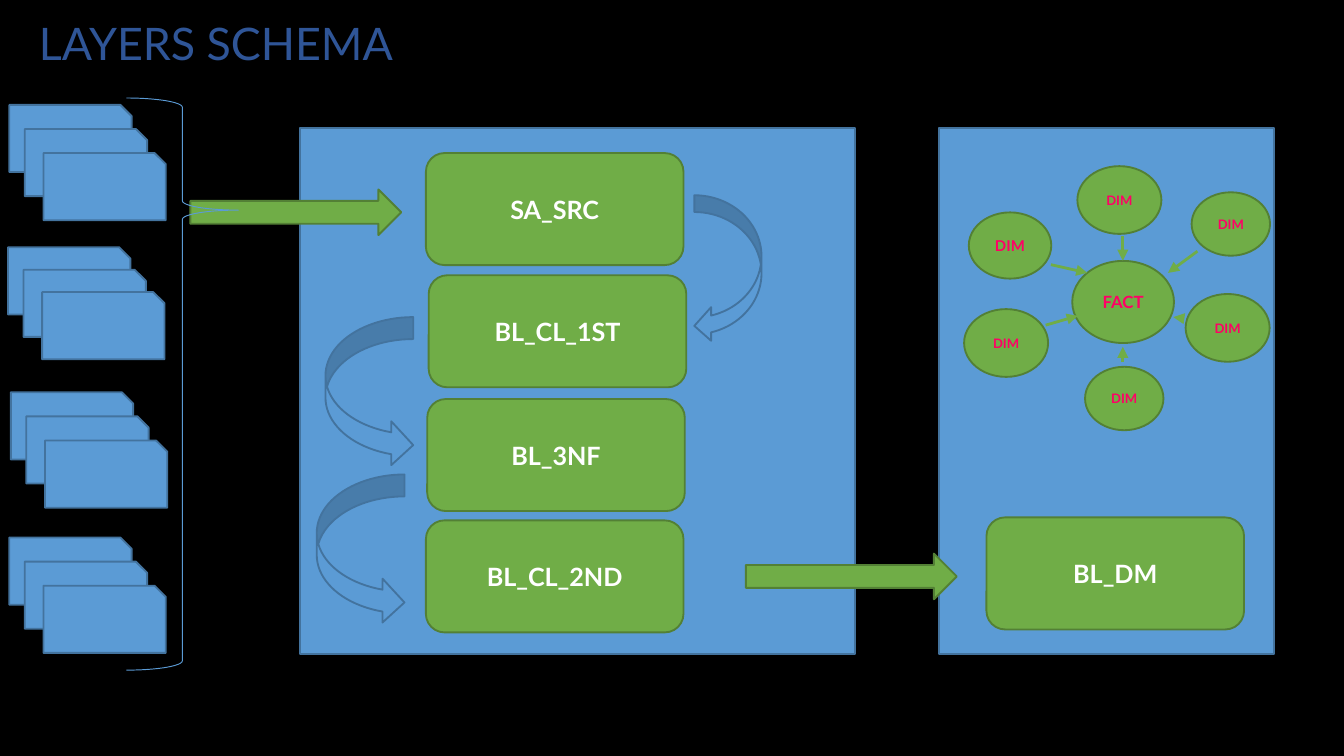
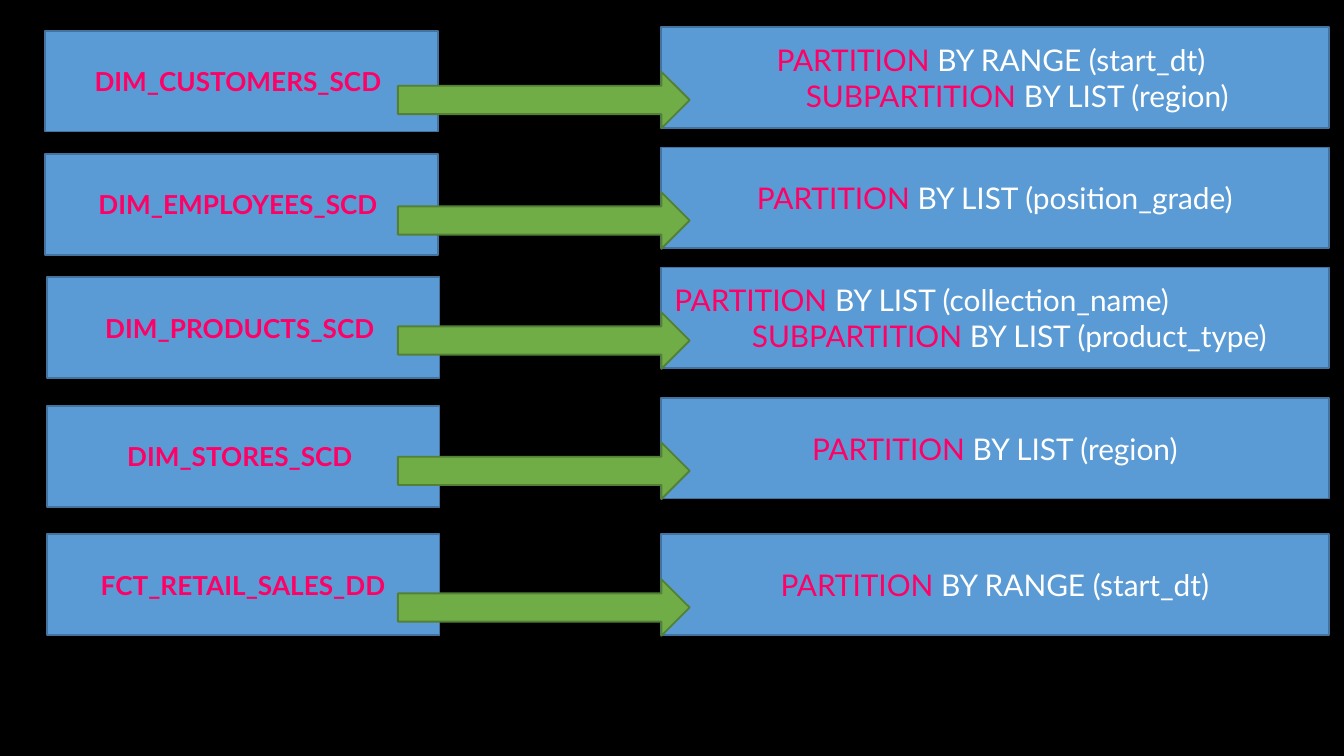
from lxml import etree
from pptx import Presentation
from pptx.dml.color import RGBColor
from pptx.enum import shapes, text
from pptx.oxml import ns
from pptx.util import Pt

FONT = "Lato"
BLACK, WHITE, PINK, NAVY = "000000", "FFFFFF", "FF0066", "2F5597"
BLUE, BLUE_EDGE = "5B9BD5", "43739E"
GREEN, GREEN_EDGE = "70AD47", "538035"
EDGES = {BLUE: BLUE_EDGE, GREEN: GREEN_EDGE}
KIND = shapes.MSO_SHAPE
ALIGN = text.PP_ALIGN
BOX = (138, 60)
DOCUMENT = (65.5, 36)
BLOCK_ARROW = (113, 24.5)
DETAIL_X = 354.2

DOCUMENT_STACKS = [(5, 56.2, 12.9), (4.3, 132.5, 12),
                   (5.8, 210.2, 12.9), (5, 288, 12.9)]
DOCUMENT_INDENTS = (0, 8.3, 18.3)
LAYERS = [("SA_SRC", 228.2, 82), ("BL_CL_1ST", 229.7, 147.5),
          ("BL_3NF", 228.9, 213.8), ("BL_CL_2ND", 228.2, 278.8),
          ("BL_DM", 528.5, 277.2)]
CURVED_ARROWS = [(KIND.CURVED_LEFT_ARROW, 372, 104.6, 36, 79),
                 (KIND.CURVED_RIGHT_ARROW, 174.4, 169.9, 47, 80.3),
                 (KIND.CURVED_RIGHT_ARROW, 169.7, 254.2, 47, 80.3)]
STAR_NODES = [("FACT", 9, 574.4, 139.8, 54.5, 44),
              ("DIM", 8, 519, 113.8, 44.2, 35.5),
              ("DIM", 7, 638.4, 103, 42, 34),
              ("DIM", 7, 577.2, 89, 45, 36.3),
              ("DIM", 7, 635.2, 157.5, 45, 36.3),
              ("DIM", 7, 516.5, 165.6, 45, 36.3),
              ("DIM", 7, 581.3, 196.5, 42, 34)]
STAR_LINKS = [(601.5, 126.7, 601.5, 139.7), (563, 141.8, 582.5, 146.2),
              (560.2, 174.2, 577.4, 169.2), (601.5, 193.7, 601.5, 185.8),
              (641.5, 134.6, 625.7, 146.2), (633.6, 170.6, 628.6, 169.9)]

# Table name, its left and top, top of the detail box, detail lines:
# (keyword, rest, alignment, indent)
PARTITIONS = [
    ("DIM_CUSTOMERS_SCD ", 24, 16.5, 14.4,
     [("PARTITION ", "BY RANGE (start_dt) ", ALIGN.CENTER, 0),
      ("SUBPARTITION", " BY LIST (region)", ALIGN.CENTER, 24)]),
    ("DIM_EMPLOYEES_SCD ", 24, 82.5, 79,
     [("PARTITION ", "BY LIST (position_grade)", ALIGN.CENTER, 0)]),
    ("DIM_PRODUCTS_SCD ", 25, 148.5, 143.3,
     [("PARTITION ", "BY LIST (collection_name)", ALIGN.LEFT, 0),
      ("SUBPARTITION ", "BY LIST (product_type)", ALIGN.CENTER, 15.5)]),
    ("DIM_STORES_SCD ", 25, 217.5, 213.1,
     [("PARTITION ", "BY LIST (region)", ALIGN.CENTER, 0)]),
    ("FCT_RETAIL_SALES_DD", 25, 286.3, 286.3,
     [("PARTITION ", "BY RANGE (start_dt)", ALIGN.CENTER, 0)]),
]


def color(hex_value):
    return RGBColor.from_string(hex_value)


def style_font(font, size, hex_value, bold=False):
    font.name, font.size, font.bold = FONT, Pt(size), bold
    font.color.rgb = color(hex_value)


def add_slide(prs):
    s = prs.slides.add_slide(prs.slide_layouts[6])
    s.background.fill.solid()
    s.background.fill.fore_color.rgb = color(BLACK)
    return s


def add_filled(s, kind, x, y, w, h, fill=BLUE):
    """Add a preset shape with the edge colour that belongs to its fill."""
    sp = s.shapes.add_shape(kind, Pt(x), Pt(y), Pt(w), Pt(h))
    sp.shadow.inherit = False
    sp.fill.solid()
    sp.fill.fore_color.rgb = color(fill)
    sp.line.color.rgb = color(EDGES[fill])
    sp.line.width = Pt(1)
    return sp


def add_label(sp, label, size, hex_value):
    p = sp.text_frame.paragraphs[0]
    p.text = label
    p.alignment = ALIGN.CENTER
    style_font(p.font, size, hex_value, bold=True)


def add_title(s, title):
    tf = s.shapes.add_textbox(Pt(3), Pt(5.8), Pt(225.4), Pt(35.3)).text_frame
    tf.word_wrap = True
    tf.vertical_anchor = text.MSO_ANCHOR.BOTTOM
    p = tf.paragraphs[0]
    p.text = title
    p.alignment = ALIGN.CENTER
    p.line_spacing = 0.9
    style_font(p.font, 24, NAVY)


def add_document_stack(s, x, y, step):
    for i, indent in enumerate(DOCUMENT_INDENTS):
        add_filled(s, KIND.SNIP_1_RECTANGLE, x + indent, y + i * step, *DOCUMENT)


def add_brace(s):
    sp = s.shapes.add_shape(KIND.RIGHT_BRACE, Pt(67.7), Pt(52.5), Pt(60), Pt(306.5))
    sp.shadow.inherit = False
    sp.fill.background()
    sp.line.color.rgb = color(BLUE)
    sp.line.width = Pt(0.5)
    sp.adjustments[0], sp.adjustments[1] = 0.083, 0.196


def add_star_node(s, label, size, x, y, w, h):
    sp = add_filled(s, KIND.OVAL, x, y, w, h, GREEN)
    tf = sp.text_frame
    tf.margin_left = tf.margin_right = tf.margin_top = tf.margin_bottom = 0
    add_label(sp, label, size, PINK)


def add_arrow_line(s, *ends):
    line = s.shapes.add_connector(shapes.MSO_CONNECTOR.STRAIGHT, *map(Pt, ends))
    line.line.color.rgb = color(GREEN)
    line.line.width = Pt(1.5)
    etree.SubElement(line.line._get_or_add_ln(), ns.qn("a:tailEnd"), type="triangle")
    etree.SubElement(line._element.spPr, ns.qn("a:effectLst"))


def add_partition_row(s, table, x, y, detail_y, lines):
    add_label(add_filled(s, KIND.RECTANGLE, x, y, 210.5, 54), table, 14, PINK)
    tf = add_filled(s, KIND.RECTANGLE, DETAIL_X, detail_y, 357.6, 54).text_frame
    for i, (keyword, rest, alignment, indent) in enumerate(lines):
        p = tf.add_paragraph() if i else tf.paragraphs[0]
        p.alignment = alignment
        if indent:
            p._p.get_or_add_pPr().set("marL", str(Pt(indent)))
        for part, hex_value in ((keyword, PINK), (rest, WHITE)):
            r = p.add_run()
            r.text = part
            style_font(r.font, 16, hex_value)
    add_filled(s, KIND.RIGHT_ARROW, 213.2, detail_y + 24, 156.3, 30.3, GREEN)


def build_layers_schema(prs):
    s = add_slide(prs)
    add_title(s, "LAYERS SCHEMA")
    for x, w in ((160.5, 297.5), (503, 179.7)):
        add_filled(s, KIND.RECTANGLE, x, 68.5, w, 282)
    for x, y in ((102, 101.5), (399.6, 296.6)):
        add_filled(s, KIND.RIGHT_ARROW, x, y, *BLOCK_ARROW, GREEN)
    for label, x, y in LAYERS:
        sp = add_filled(s, KIND.ROUNDED_RECTANGLE, x, y, *BOX, GREEN)
        add_label(sp, label, 13.5, WHITE)
    add_brace(s)
    for stack in DOCUMENT_STACKS:
        add_document_stack(s, *stack)
    for arrow in CURVED_ARROWS:
        add_filled(s, *arrow)
    for node in STAR_NODES:
        add_star_node(s, *node)
    for link in STAR_LINKS:
        add_arrow_line(s, *link)


def build_partitions(prs):
    s = add_slide(prs)
    for row in PARTITIONS:
        add_partition_row(s, *row)


def main():
    prs = Presentation()
    prs.slide_width, prs.slide_height = Pt(720), Pt(405)
    build_layers_schema(prs)
    build_partitions(prs)
    prs.save("out.pptx")


if __name__ == "__main__":
    main()
